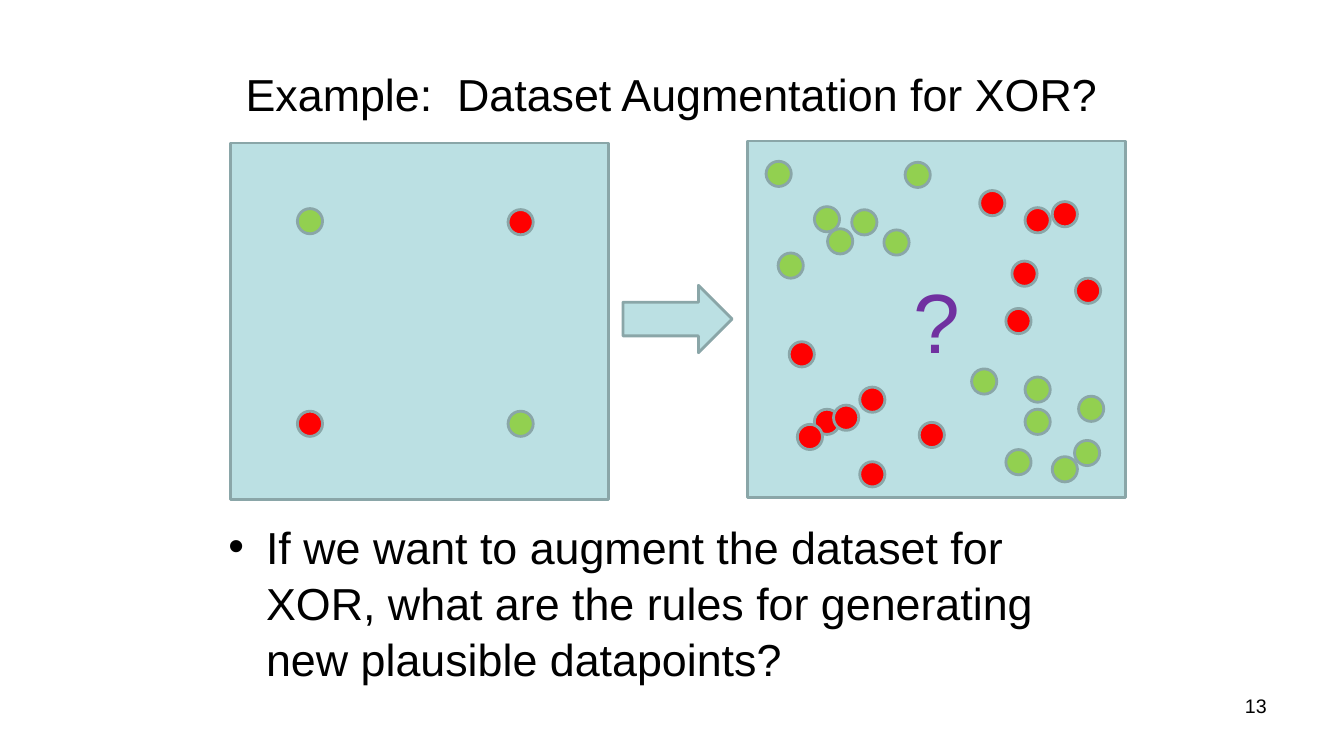
"""Build the slide on dataset augmentation for XOR."""
from typing import NamedTuple

from lxml.etree import SubElement
from pptx import Presentation
from pptx.dml.color import RGBColor
from pptx.enum.shapes import MSO_SHAPE as Kind
from pptx.enum.text import MSO_ANCHOR as Anchor, PP_ALIGN as Align
from pptx.oxml.ns import qn
from pptx.util import Pt

AQUA = RGBColor(0xBB, 0xE0, 0xE3)
GRAY = RGBColor(0x8A, 0xA6, 0xA8)
RED = RGBColor(0xFF, 0x00, 0x00)
GREEN = RGBColor(0x92, 0xD0, 0x50)
PURPLE = RGBColor(0x70, 0x30, 0xA0)
BLACK = RGBColor(0x00, 0x00, 0x00)
WHITE = RGBColor(0xFF, 0xFF, 0xFF)
DOT = 18


class Box(NamedTuple):
    left: float
    top: float
    width: float
    height: float


class Group(NamedTuple):
    color: RGBColor
    spots: list[tuple[float, float]]


LEFT = Box(164.9, 102.2, 270, 254.9)
RIGHT = Box(534.2, 100.8, 270, 254.9)
ARROW = Box(445, 203.8, 78, 48.2)

SEEDS = [
    Group(RED, [(198, 47.5), (47.5, 191.5)]),
    Group(GREEN, [(47.5, 46.8), (198, 191.5)]),
]
EXTRAS = [
    Group(RED, [
        (165.6, 35.3), (188.6, 85.7), (217.4, 43.2), (234, 97.9),
        (184.3, 119.5), (35.3, 202.3), (61.2, 188.6), (79.9, 229),
        (122.4, 200.9), (29.5, 143.3), (79.9, 175.7),
    ]),
    Group(GREEN, [
        (198, 168.5), (159.8, 162.7), (184.3, 220.3), (233.3, 213.8),
        (236.2, 182.2), (217.4, 225.4), (13, 14.4), (74.2, 49),
        (21.6, 79.9), (56.9, 62.6), (97.2, 63.4), (112.3, 15.1),
    ]),
]


def write(shape, text: str, *, size: float = 32, color: RGBColor = BLACK,
          align: Align = Align.LEFT, anchor: Anchor = Anchor.TOP,
          bullet: bool = False) -> None:
    frame = shape.text_frame
    frame.word_wrap = True
    frame.vertical_anchor = anchor
    para = frame.paragraphs[0]
    para.text = text
    para.alignment = align
    if bullet:
        para.line_spacing = 1.04
        props = para._p.get_or_add_pPr()
        props.set("marL", str(Pt(27)))
        props.set("indent", str(Pt(-27)))
        SubElement(props, qn("a:buFont"), typeface="Arial")
        SubElement(props, qn("a:buChar"), char="•")
    font = para.runs[0].font
    font.name = "Arial"
    font.size = Pt(size)
    font.color.rgb = color


def label(slide, box: Box, text: str, **style) -> None:
    write(slide.shapes.add_textbox(*map(Pt, box)), text, **style)


def draw(tree, kind: Kind, box: Box, color: RGBColor):
    shape = tree.add_shape(kind, *map(Pt, box))
    shape.shadow.inherit = False
    shape.fill.solid()
    shape.fill.fore_color.rgb = color
    shape.line.color.rgb = GRAY
    shape.line.width = Pt(2)
    return shape


def scatter(tree, panel: Box, groups: list[Group]) -> None:
    for group in groups:
        for left, top in group.spots:
            spot = Box(panel.left + left, panel.top + top, DOT, DOT)
            draw(tree, Kind.OVAL, spot, group.color)


def plot(slide, panel: Box):
    tree = slide.shapes.add_group_shape().shapes
    frame = draw(tree, Kind.RECTANGLE, panel, AQUA)
    scatter(tree, panel, SEEDS)
    return frame


def main() -> None:
    deck = Presentation()
    deck.slide_width, deck.slide_height = Pt(960), Pt(540)
    slide = deck.slides.add_slide(deck.slide_layouts[6])
    slide.background.fill.solid()
    slide.background.fill.fore_color.rgb = WHITE

    label(slide, Box(48, 21.6, 864, 90),
          "Example:  Dataset Augmentation for XOR?",
          align=Align.CENTER, anchor=Anchor.MIDDLE)
    label(slide, Box(156, 366, 648, 117),
          "If we want to augment the dataset for XOR, what are the rules "
          "for generating new plausible datapoints?", bullet=True)
    label(slide, Box(688, 492, 224, 37.5), "13", size=14, align=Align.RIGHT)

    plot(slide, LEFT)
    draw(slide.shapes, Kind.RIGHT_ARROW, ARROW, AQUA)
    write(plot(slide, RIGHT), "?", size=60, color=PURPLE,
          align=Align.CENTER, anchor=Anchor.MIDDLE)
    scatter(slide.shapes, RIGHT, EXTRAS)
    deck.save("out.pptx")


if __name__ == "__main__":
    main()
